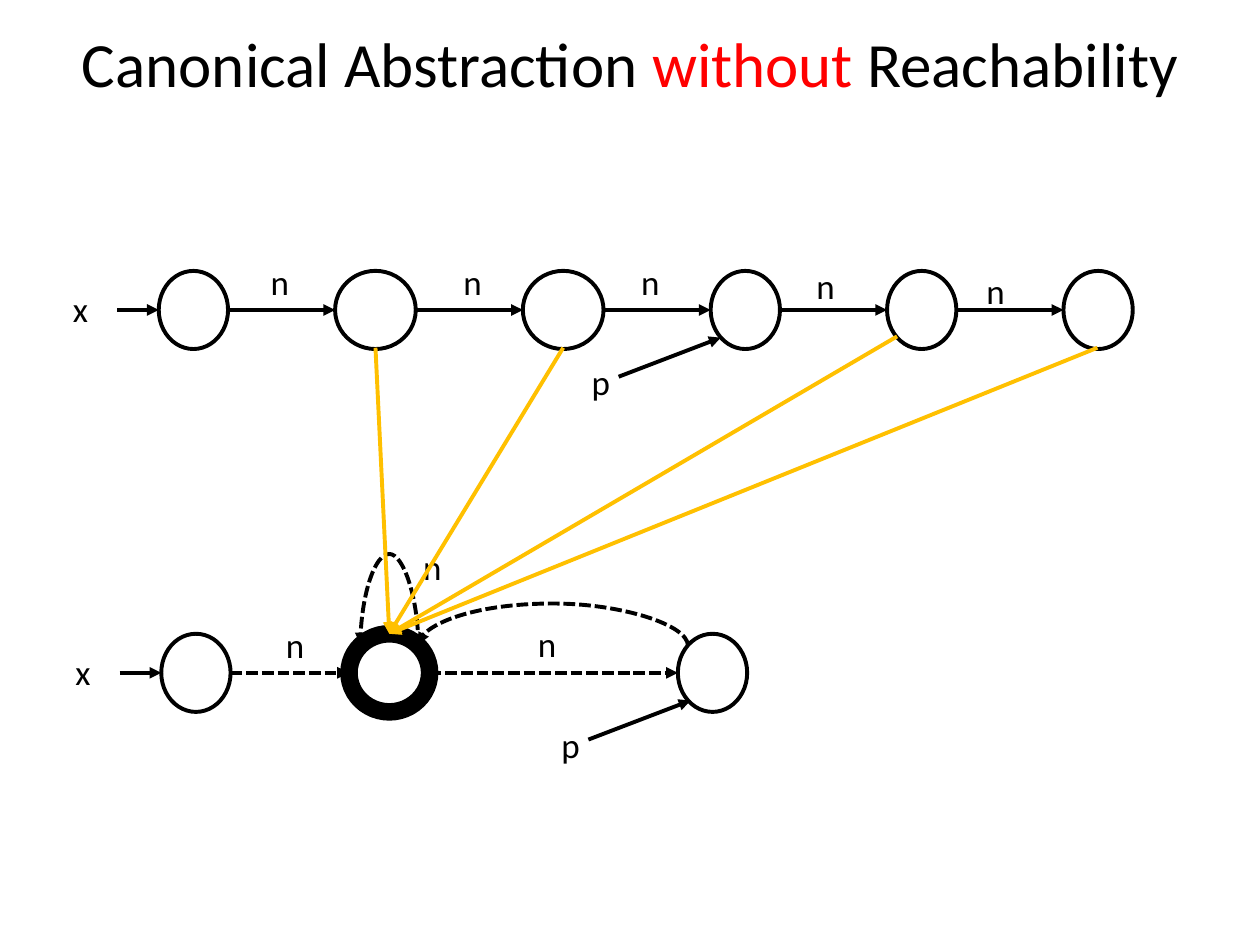
from lxml import etree
from pptx import Presentation, util as u
from pptx.dml.color import RGBColor
from pptx.enum import dml, shapes, text
from pptx.oxml.ns import qn

COLORS = {"ink": "000000", "accent": "FF0000", "mapping": "FFC000"}
FONT = "Calibri"
NODE_H = 0.62
LABEL_W, LABEL_H = 0.32, 0.43


def rgb(name):
    return RGBColor.from_string(COLORS[name])


def style_run(run, size, color="ink"):
    run.font.name = FONT
    run.font.size = u.Pt(size)
    run.font.color.rgb = rgb(color)


def add_label(slide, left, top, wording, align=text.PP_ALIGN.LEFT, width=LABEL_W):
    box = slide.shapes.add_textbox(*map(u.Inches, (left, top, width, LABEL_H)))
    box.text_frame.word_wrap = False
    paragraph = box.text_frame.paragraphs[0]
    paragraph.text = wording
    paragraph.alignment = align
    style_run(paragraph.runs[0], 20)


def add_node(slide, left, top, width, weight=2.25):
    node = slide.shapes.add_shape(
        shapes.MSO_SHAPE.OVAL, *map(u.Inches, (left, top, width, NODE_H)))
    node.shadow.inherit = False
    node.fill.background()
    node.line.color.rgb = rgb("ink")
    node.line.width = u.Pt(weight)


def add_arrow(slide, start, end, color="ink", dashed=False,
              kind=shapes.MSO_CONNECTOR.STRAIGHT):
    arrow = slide.shapes.add_connector(kind, *map(u.Inches, (*start, *end)))
    arrow.line.color.rgb = rgb(color)
    arrow.line.width = u.Pt(2.25)
    if dashed:
        arrow.line.dash_style = dml.MSO_LINE.SQUARE_DOT
    etree.SubElement(arrow.line._get_or_add_ln(), qn("a:tailEnd"), type="triangle")
    etree.SubElement(arrow._element.spPr, qn("a:effectLst"))
    return arrow


def add_arc(slide, right, left, base, rise):
    """Dashed arc from right to left: a quarter-turned curve bulging upwards."""
    depth = 0.01
    middle, half = (left + right) / 2, (right - left) / 2
    arc = add_arrow(slide, (middle - depth / 2, base + half),
                    (middle + depth / 2, base - half),
                    dashed=True, kind=shapes.MSO_CONNECTOR.CURVE)
    properties = arc._element.spPr
    properties.find(qn("a:xfrm")).set("rot", str(270 * 60000))
    geometry = properties.find(qn("a:prstGeom"))
    bends = geometry.find(qn("a:avLst"))
    if bends is None:
        bends = etree.SubElement(geometry, qn("a:avLst"))
    etree.SubElement(bends, qn("a:gd"), name="adj1",
                     fmla=f"val {round(rise / depth * 100000)}")


def add_title(slide, left, top, width, height):
    box = slide.shapes.add_textbox(*map(u.Inches, (left, top, width, height)))
    box.text_frame.word_wrap = True
    box.text_frame.vertical_anchor = text.MSO_ANCHOR.MIDDLE
    paragraph = box.text_frame.paragraphs[0]
    paragraph.alignment = text.PP_ALIGN.CENTER
    for wording, color in (("Canonical Abstraction ", "ink"),
                           ("without ", "accent"), ("Reachability", "ink")):
        run = paragraph.add_run()
        run.text = wording
        style_run(run, 36, color)


def add_chain(slide, left, top, nodes, edge_labels, p_tip, dashed=False):
    """Row of nodes (offset, width, line weight) joined by n edges, with x and p."""
    axis = top + NODE_H / 2
    for offset, width, weight in nodes:
        add_node(slide, left + offset, top, width, weight)
    for (offset, width, _), (following, _, _), (label_x, label_y) in zip(
            nodes, nodes[1:], edge_labels):
        add_arrow(slide, (left + offset + width, axis), (left + following, axis),
                  dashed=dashed)
        add_label(slide, left + label_x, top + label_y, "n")
    # Variable x points at the first node
    add_label(slide, left - 0.78, top + 0.08, "x", width=0.45)
    add_arrow(slide, (left - 0.33, axis), (left, axis))
    # Variable p points at a node from below left
    tip_x, tip_y = left + p_tip, top + 0.53
    add_label(slide, tip_x - 1.23, tip_y + 0.13, "p", text.PP_ALIGN.RIGHT, 0.45)
    add_arrow(slide, (tip_x - 0.81, tip_y + 0.31), (tip_x, tip_y))


def add_abstraction(slide, left, top):
    """Abstract list with its summary node, self loop and back edge."""
    nodes = [(0, 0.55, 2.25), (1.49, 0.64, 10), (4.1, 0.55, 2.25)]
    add_chain(slide, left, top, nodes, [(0.89, -0.13), (2.89, -0.14)],
              p_tip=4.2, dashed=True)
    add_arc(slide, left + 2.04, left + 1.58, top + 0.09, rise=0.74)
    add_label(slide, left + 1.98, top - 0.75, "n")
    add_arc(slide, left + 4.18, left + 2.04, top + 0.09, rise=0.34)


def add_mapping(slide, sources, target):
    for source in sources:
        add_arrow(slide, source, target, "mapping")


def main():
    deck = Presentation()
    deck.slide_width, deck.slide_height = u.Inches(10), u.Inches(7.5)
    slide = deck.slides.add_slide(deck.slide_layouts[6])

    add_title(slide, 0.5, 0.08, 9, 0.83)

    # Concrete list
    offsets = (0, 1.4, 2.89, 4.38, 5.78, 7.18)
    widths = (0.55, 0.64, 0.64, 0.55, 0.55, 0.55)
    nodes = [(offset, width, 2.25) for offset, width in zip(offsets, widths)]
    labels = [(0.79, -0.13), (2.32, -0.13), (3.73, -0.13), (5.12, -0.1), (6.47, -0.06)]
    add_chain(slide, 1.26, 2.15, nodes, labels, p_tip=4.46)

    # Abstract list
    add_abstraction(slide, 1.28, 5.03)

    # Concrete nodes merged into the summary node
    add_mapping(slide, [(2.98, 2.76), (4.47, 2.76), (7.12, 2.67), (8.71, 2.76)],
                (3.09, 5.03))

    deck.save("out.pptx")


if __name__ == "__main__":
    main()
